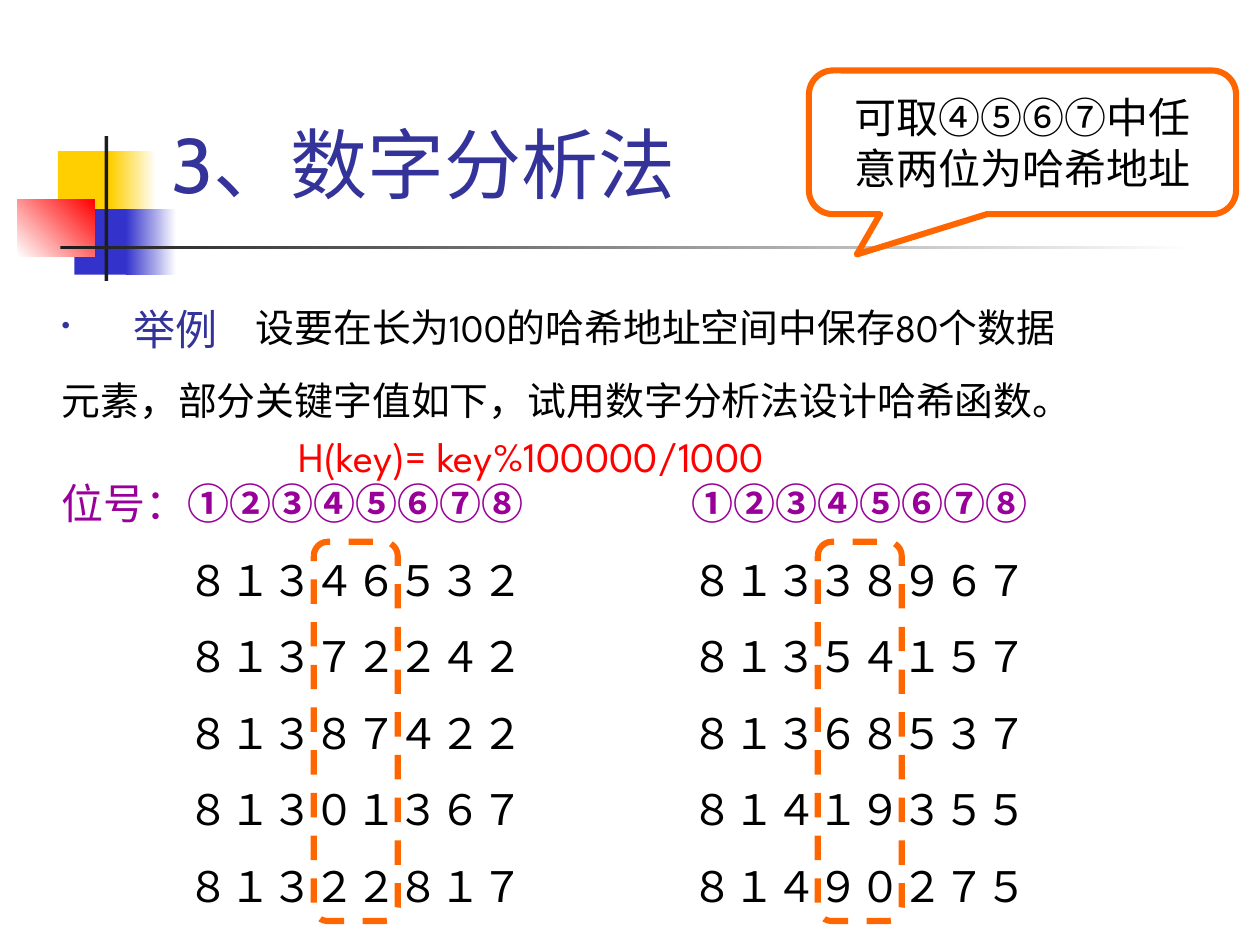
from lxml import etree
from pptx import Presentation
from pptx.dml.color import RGBColor
from pptx.enum.dml import MSO_LINE
from pptx.enum.shapes import MSO_SHAPE
from pptx.enum.text import MSO_ANCHOR, MSO_AUTO_SIZE, PP_ALIGN
from pptx.oxml.ns import qn
from pptx.util import Inches, Pt

COLORS = {
    "yellow": "FFCF01", "blue": "3333CC", "red": "FF0000", "white": "FFFFFF",
    "ink": "1C1C1C", "black": "000000", "title": "333399", "purple": "990099",
    "orange": "FF6600",
}
BODY_FONT = "League Spartan"
TITLE_FONT = "Cabin"
DIGIT = 1 / 3  # width of one full-width 24 pt character, in inches
GROUP_STARTS = (1, 5)  # tab stops of the two key columns
KEY_ROWS = [
    ("８１３４６５３２", "８１３３８９６７"),
    ("８１３７２２４２", "８１３５４１５７"),
    ("８１３８７４２２", "８１３６８５３７"),
    ("８１３０１３６７", "８１４１９３５５"),
    ("８１３２２８１７", "８１４９０２７５"),
]
POSITIONS = "①②③④⑤⑥⑦⑧"


def rgb(name):
    return RGBColor.from_string(COLORS[name])


def box_inches(left, top, width, height):
    return [Inches(value) for value in (left, top, width, height)]


def add_run(paragraph, text, size=24, color="black", font=BODY_FONT, bold=False):
    run = paragraph.add_run()
    run.text = text
    run.font.size = Pt(size)
    run.font.name = font
    run.font.bold = bold
    run.font.color.rgb = rgb(color)


def write_text(frame, lines, align=PP_ALIGN.JUSTIFY, anchor=MSO_ANCHOR.TOP,
               wrap=True, space_before=0, tabs=(), **run_format):
    """Write one paragraph per line; a line is a string or a list of (text, format)."""
    frame.auto_size = MSO_AUTO_SIZE.NONE
    frame.word_wrap = wrap
    frame.vertical_anchor = anchor
    for index, line in enumerate(lines):
        paragraph = frame.add_paragraph() if index else frame.paragraphs[0]
        paragraph.alignment = align
        paragraph.space_before = Pt(space_before if index else 0)
        if tabs:
            tab_list = etree.SubElement(paragraph._p.get_or_add_pPr(), qn("a:tabLst"))
            for stop in tabs:
                etree.SubElement(tab_list, qn("a:tab"), pos=str(Inches(stop)), algn="l")
        for text, extra in [(line, {})] if isinstance(line, str) else line:
            add_run(paragraph, text, **{**run_format, **extra})


def add_text(slide, box, lines, **text_format):
    frame = slide.shapes.add_textbox(*box_inches(*box)).text_frame
    write_text(frame, lines, **text_format)
    return frame


def set_indent(paragraph, first_line, left=0):
    properties = paragraph._p.get_or_add_pPr()
    properties.set("marL", str(Inches(left)))
    properties.set("indent", str(Inches(first_line)))
    return properties


def add_block(slide, box, start, end=None, angle=0):
    """Add a borderless rectangle, solid or with a gradient from start to end."""
    block = slide.shapes.add_shape(MSO_SHAPE.RECTANGLE, *box_inches(*box))
    block.shadow.inherit = False
    block.line.fill.background()
    if end is None:
        block.fill.solid()
        block.fill.fore_color.rgb = rgb(start)
        return
    block.fill.gradient()
    block.fill.gradient_angle = angle
    for stop, color, position in zip(block.fill.gradient_stops, (start, end), (0, 1)):
        stop.color.rgb = rgb(color)
        stop.position = position


def add_outline(slide, preset, box, adjustments):
    shape = slide.shapes.add_shape(preset, *box_inches(*box))
    shape.shadow.inherit = False
    shape.fill.background()
    shape.line.color.rgb = rgb("orange")
    shape.line.width = Pt(3.5)
    for index, value in enumerate(adjustments):
        shape.adjustments[index] = value
    return shape


def add_decoration(slide, left, top):
    add_block(slide, (left + 0.32, top + 0.12, 0.48, 0.52), "yellow")
    add_block(slide, (left + 0.74, top + 0.12, 0.36, 0.52), "yellow", "white")
    add_block(slide, (left + 0.45, top + 0.58, 0.46, 0.52), "blue")
    add_block(slide, (left + 0.86, top + 0.58, 0.4, 0.52), "blue", "white")
    add_block(slide, (left, top + 0.5, 0.61, 0.46), "white", "red", angle=45)
    add_block(slide, (left + 0.69, top, 0.03, 1.15), "ink")
    add_block(slide, (left + 0.34, top + 0.87, 9, 0.03), "ink", "white")


def add_title(slide, box, text):
    title = slide.shapes.title
    title.left, title.top, title.width, title.height = box_inches(*box)
    write_text(title.text_frame, [text], align=PP_ALIGN.LEFT,
               anchor=MSO_ANCHOR.MIDDLE, size=44, color="title", font=TITLE_FONT)


def add_problem(slide, left, top, width):
    frame = add_text(slide, (left, top, width, 1.18), [
        "设要在长为100的哈希地址空间中保存80个数据",
        "元素，部分关键字值如下，试用数字分析法设计哈希函数。",
    ], space_before=15, size=22.2)
    set_indent(frame.paragraphs[0], 1.54)

    label = add_text(slide, (left, top, width, 0.59), ["举例"], color="title")
    properties = set_indent(label.paragraphs[0], -0.57, left=0.57)
    bullet_color = etree.SubElement(properties, qn("a:buClr"))
    etree.SubElement(bullet_color, qn("a:srgbClr"), val=COLORS["title"])
    etree.SubElement(properties, qn("a:buSzPct"), val="60000")
    etree.SubElement(properties, qn("a:buChar"), char="•")


def add_keys(slide, left, top, width):
    """Add the key columns and frame digits 4 and 5 of each."""
    header = [("位号：", {"color": "purple"}),
              (f"{POSITIONS}\t{POSITIONS}", {"color": "purple", "bold": True})]
    rows = [f"\t{first}\t{second}" for first, second in KEY_ROWS]
    add_text(slide, (left, top, width, 3.54), [header] + rows,
             space_before=15, tabs=GROUP_STARTS)
    for start in GROUP_STARTS:
        frame_left = left + 0.1 + start + 3 * DIGIT
        add_outline(slide, MSO_SHAPE.ROUNDED_RECTANGLE,
                    (frame_left, top + 0.56, 2 * DIGIT, 3.01),
                    [0.167]).line.dash_style = MSO_LINE.DASH


def add_callout(slide, box, lines):
    callout = add_outline(slide, MSO_SHAPE.ROUNDED_RECTANGULAR_CALLOUT, box,
                          [-0.388, 0.781, 0.167])
    write_text(callout.text_frame, lines, align=PP_ALIGN.CENTER,
               anchor=MSO_ANCHOR.MIDDLE, wrap=False)


def main():
    presentation = Presentation()
    presentation.slide_width, presentation.slide_height = Inches(10), Inches(7.5)
    slide = presentation.slides.add_slide(presentation.slide_layouts[5])
    add_decoration(slide, 0.14, 1.08)
    add_title(slide, (1.26, 0.67, 8.52, 1.25), "3、数字分析法")
    add_problem(slide, 0.39, 2.36, 9.05)
    add_keys(slide, 0.39, 3.74, 9.05)
    add_callout(slide, (6.42, 0.56, 3.39, 1.14), ["可取④⑤⑥⑦中任", "意两位为哈希地址"])
    add_text(slide, (1.85, 3.32, 4.73, 0.59), ["H(key)= key%100000/1000"],
             align=PP_ALIGN.CENTER, anchor=MSO_ANCHOR.MIDDLE, wrap=False, color="red")
    presentation.save("out.pptx")


if __name__ == "__main__":
    main()
